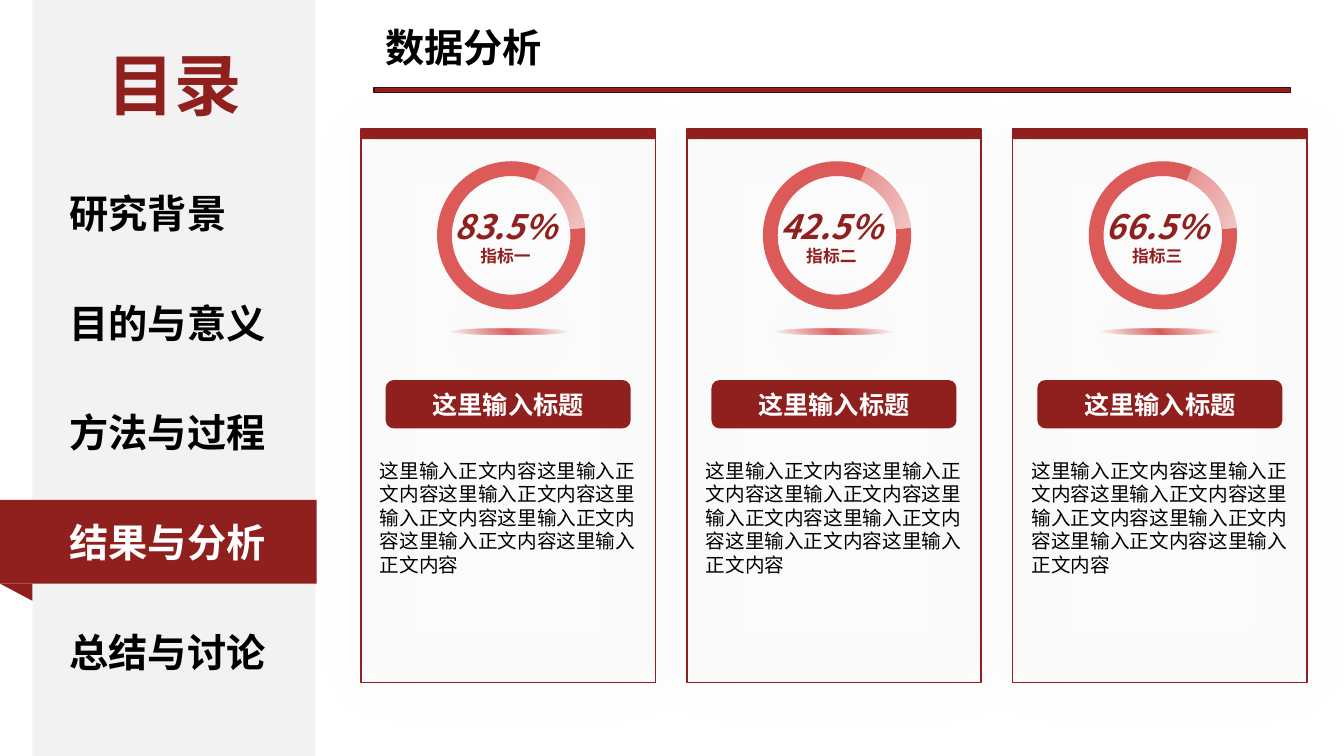
from dataclasses import dataclass

from lxml import etree
from pptx import Presentation
from pptx.dml.color import RGBColor
from pptx.enum.shapes import MSO_SHAPE
from pptx.enum.text import MSO_ANCHOR, MSO_AUTO_SIZE, PP_ALIGN
from pptx.oxml import parse_xml
from pptx.oxml.ns import nsdecls, qn
from pptx.util import Inches, Pt

COLORS = {
    "crimson": "90201E", "dark": "3F0E0D", "coral": "DC5A58", "blush": "F3C8C7",
    "panel": "E7E6E6", "sidebar": "F2F2F2", "shade": "808080",
    "black": "000000", "white": "FFFFFF",
}
FONT = "Noto Sans CJK SC"
CELL = Inches(0.1)
LINE_RATIO = 1.2
MENU = ["研究背景", "目的与意义", "方法与过程", "结果与分析", "总结与讨论"]
ACTIVE = 3
MENU_PITCH = 78.3
INDICATORS = [("83.5%", "指标一"), ("42.5%", "指标二"), ("66.5%", "指标三")]
CARD_TITLE = "这里输入标题"
CARD_BODY = "这里输入正文内容" * 7


@dataclass
class Box:
    """A rectangle measured in grid columns and rows."""
    left: float
    top: float
    width: float
    height: float

    def area(self, left, top, width, height):
        """Return a box placed relative to this one."""
        return Box(self.left + left, self.top + top, width, height)

    def emu(self):
        """Return the rectangle in slide lengths."""
        return [round(v * CELL) for v in (self.left, self.top, self.width, self.height)]


def rgb(name):
    """Look up a palette colour."""
    return RGBColor.from_string(COLORS[name])


def add_alpha(color, percent):
    """Give a colour element an opacity."""
    etree.SubElement(color, qn("a:alpha"), val=str(percent * 1000))


def draw(slide, kind, box, fill, line=None):
    """Add a flat preset shape."""
    shape = slide.shapes.add_shape(kind, *box.emu())
    shape.shadow.inherit = False
    shape.fill.solid()
    shape.fill.fore_color.rgb = rgb(fill)
    if line:
        shape.line.color.rgb = rgb(line)
        shape.line.width = Pt(1)
    else:
        shape.line.fill.background()
    return shape


def add_glow(shape, color):
    """Add a soft, centred shadow."""
    effects = shape.element.spPr.find(qn("a:effectLst"))
    shadow = etree.SubElement(effects, qn("a:outerShdw"), blurRad=str(Pt(40)),
                              dist="0", dir="0", algn="ctr", rotWithShape="0")
    add_alpha(etree.SubElement(shadow, qn("a:srgbClr"), val=COLORS[color]), 20)


def set_gradient(shape, stops, direction):
    """Swap the solid fill for a gradient of (position, colour, opacity) stops."""
    marks = "".join(
        f'<a:gs pos="{at * 1000}"><a:srgbClr val="{COLORS[color]}">'
        f'<a:alpha val="{opacity * 1000}"/></a:srgbClr></a:gs>'
        for at, color, opacity in stops)
    gradient = parse_xml(f'<a:gradFill {nsdecls("a")} rotWithShape="1">'
                         f'<a:gsLst>{marks}</a:gsLst>{direction}</a:gradFill>')
    properties = shape.element.spPr
    properties.replace(properties.find(qn("a:solidFill")), gradient)


def style(paragraph, size, color, bold=True, italic=False, align=PP_ALIGN.LEFT):
    """Format a paragraph and its runs."""
    paragraph.alignment = align
    for run in paragraph.runs:
        font = run.font
        font.name, font.size, font.bold, font.italic = FONT, Pt(size), bold, italic
        font.color.rgb = rgb(color)
        etree.SubElement(run._r.get_or_add_rPr(), qn("a:ea"), typeface=FONT)


def write(shape, text, anchor=MSO_ANCHOR.MIDDLE):
    """Put wrapped text in a shape and return its paragraphs."""
    frame = shape.text_frame
    frame.text = text
    frame.word_wrap = True
    frame.auto_size = MSO_AUTO_SIZE.NONE
    frame.vertical_anchor = anchor
    return frame.paragraphs


def label(slide, box, text, anchor=MSO_ANCHOR.MIDDLE):
    """Add a text box and return its paragraphs."""
    return write(slide.shapes.add_textbox(*box.emu()), text, anchor)


def place(placeholder, box):
    """Move a placeholder into a box, in front of earlier shapes."""
    placeholder.left, placeholder.top, placeholder.width, placeholder.height = box.emu()
    placeholder.element.getparent().append(placeholder.element)


def add_sidebar(slide, box):
    """Draw the contents column with its active ribbon."""
    draw(slide, MSO_SHAPE.RECTANGLE, box, "sidebar")
    draw(slide, MSO_SHAPE.RECTANGLE, box.area(-3.2, 49.6, 31.4, 8.3), "crimson")
    fold = draw(slide, MSO_SHAPE.RIGHT_TRIANGLE, box.area(-3.2, 57.9, 3.2, 1.7), "crimson")
    fold.rotation = 180
    heading = label(slide, box.area(4.4, 3.7, 19.4, 9.1), "目录")
    style(heading[0], 48, "crimson", align=PP_ALIGN.CENTER)

    menu = slide.placeholders[1]
    place(menu, box.area(2.7, 18.3, 24, 50))
    for index, entry in enumerate(write(menu, "\n".join(MENU), MSO_ANCHOR.TOP)):
        properties = entry._p.get_or_add_pPr()
        properties.set("marL", "0")
        properties.set("indent", "0")
        etree.SubElement(properties, qn("a:buNone"))
        line_height = 28 * LINE_RATIO
        entry.line_spacing = Pt(line_height)
        entry.space_before = Pt(MENU_PITCH - line_height if index else 0)
        style(entry, 28, "white" if index == ACTIVE else "black")


def add_header(slide, box):
    """Place the slide title above its rule."""
    draw(slide, MSO_SHAPE.RECTANGLE, box.area(0, 6.9, 90.9, 0.5), "crimson", "dark")
    place(slide.shapes.title, box.area(0.1, 0, 49.3, 5.7))
    style(write(slide.shapes.title, "数据分析")[0], 28, "black")


def add_ring(slide, box, percent, name):
    """Draw the indicator ring with its value."""
    ring = draw(slide, MSO_SHAPE.DONUT, box, "coral")
    ring.adjustments[0] = 0.1
    arc = draw(slide, MSO_SHAPE.BLOCK_ARC, box, "blush")
    for index, value in enumerate((184.38, 4.27, 0.1)):
        arc.adjustments[index] = value
    arc.rotation = 346
    set_gradient(arc, [(0, "blush", 50), (100, "blush", 100)],
                 '<a:lin ang="2700000" scaled="0"/>')
    lines = label(slide, box.area(-0.5, 3.9, 14.6, 7.5), f"{percent}\n{name}", MSO_ANCHOR.TOP)
    for line, size, italic in zip(lines, (24, 12), (True, False)):
        line.line_spacing = Pt(size * LINE_RATIO)
        style(line, size, "crimson", italic=italic, align=PP_ALIGN.CENTER)


def add_card(slide, box, percent, name):
    """Draw one indicator card."""
    panel = draw(slide, MSO_SHAPE.RECTANGLE, box, "panel", "crimson")
    add_alpha(panel.element.spPr.find(qn("a:solidFill"))[0], 5)
    add_glow(panel, "crimson")
    add_ring(slide, box.area(7.55, 3.2, 14.7, 14.7), percent, name)

    base = draw(slide, MSO_SHAPE.OVAL, box.area(8.85, 19.8, 11.6, 0.6), "coral")
    set_gradient(base, [(0, "coral", 0), (50, "coral", 100), (100, "coral", 0)],
                 '<a:path path="circle"><a:fillToRect t="100000" r="100000"/></a:path>')
    add_glow(base, "shade")

    button = draw(slide, MSO_SHAPE.ROUNDED_RECTANGLE, box.area(2.45, 24.9, 24.3, 4.8), "crimson")
    style(write(button, CARD_TITLE)[0], 18, "white", align=PP_ALIGN.CENTER)

    body = label(slide, box.area(0.9, 32.2, 27.4, 15.1), CARD_BODY, MSO_ANCHOR.TOP)[0]
    body.line_spacing = Pt(14 * LINE_RATIO)
    style(body, 14, "black", bold=False)
    draw(slide, MSO_SHAPE.RECTANGLE, box.area(0, 0, box.width, 1), "crimson")


def main():
    """Build the data analysis slide."""
    deck = Presentation()
    deck.slide_width, deck.slide_height = Inches(13.33), Inches(7.5)
    slide = deck.slides.add_slide(deck.slide_layouts[1])
    add_sidebar(slide, Box(3.2, 0, 28.1, 75))
    add_header(slide, Box(37.1, 1.8, 90.9, 7.4))
    for column, (percent, name) in enumerate(INDICATORS):
        add_card(slide, Box(35.8 + column * 32.32, 12.8, 29.2, 54.9), percent, name)
    deck.save("out.pptx")


if __name__ == "__main__":
    main()
